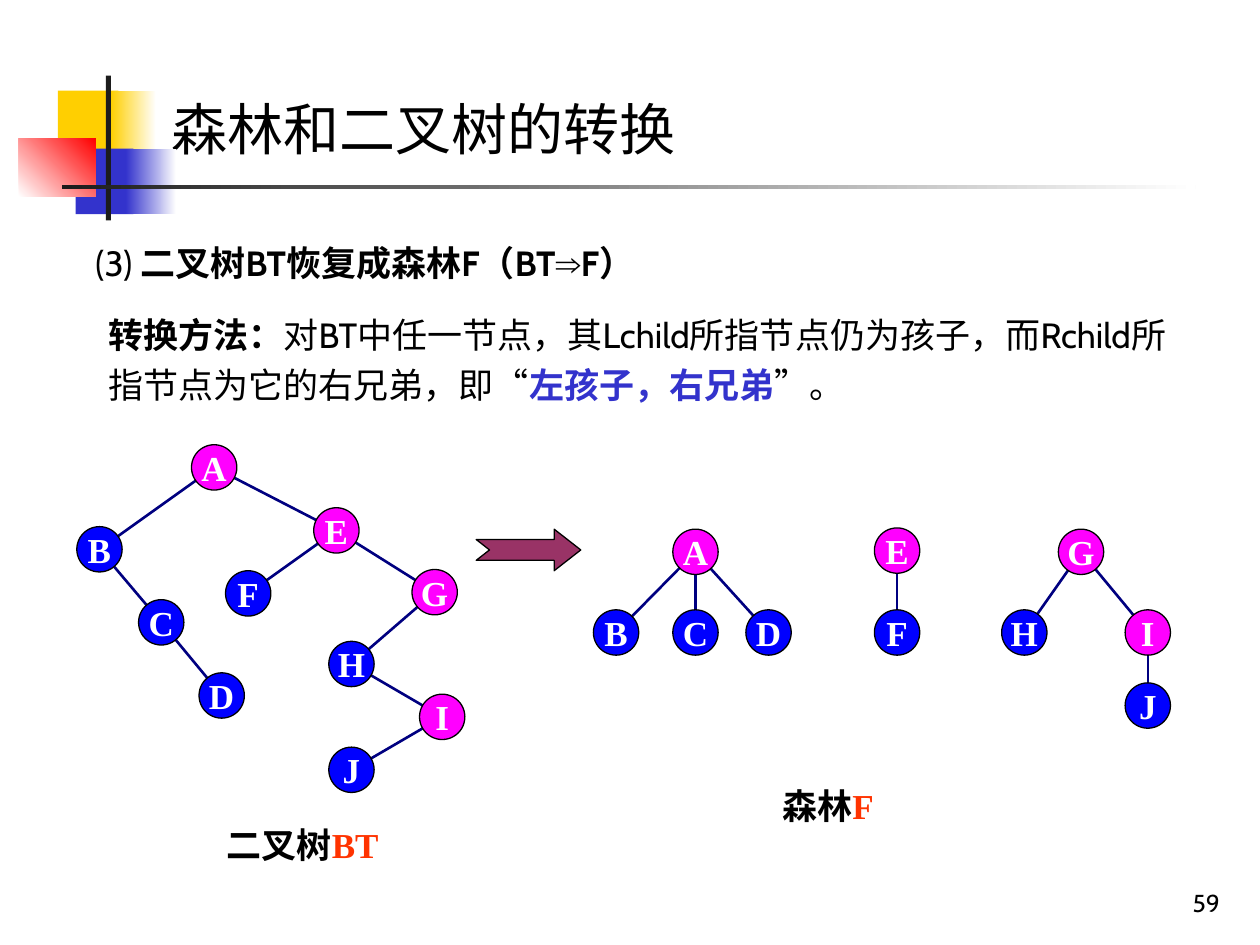
from lxml import etree
from pptx import Presentation
from pptx.dml.color import RGBColor
from pptx.enum.shapes import MSO_CONNECTOR as Conn, MSO_SHAPE as Shape
from pptx.enum.text import MSO_ANCHOR as Anchor, PP_ALIGN as Align
from pptx.oxml.ns import qn
from pptx.util import Inches, Pt

BLACK = RGBColor(0x00, 0x00, 0x00)
WHITE = RGBColor(0xFF, 0xFF, 0xFF)
YELLOW = RGBColor(0xFF, 0xCF, 0x01)
INDIGO = RGBColor(0x33, 0x33, 0xCC)
RED = RGBColor(0xFF, 0x00, 0x00)
CHARCOAL = RGBColor(0x1C, 0x1C, 0x1C)
NAVY = RGBColor(0x00, 0x00, 0x80)
BLUE = RGBColor(0x00, 0x00, 0xFF)
MAGENTA = RGBColor(0xFF, 0x00, 0xFF)
PLUM = RGBColor(0x99, 0x33, 0x66)
ORANGE = RGBColor(0xFF, 0x33, 0x00)

CJK, SANS, SERIF = "Noto Sans CJK JP", "Cabin", "Times New Roman"

FOREST_ROOTS = "AEGI"
BINARY_NODES = dict(A=(1.09, 0.18), B=(0.18, 0.83), C=(0.67, 1.41), D=(1.15, 1.99),
                    E=(2.06, 0.68), F=(1.36, 1.18), G=(2.84, 1.17), H=(2.18, 1.74),
                    I=(2.9, 2.16), J=(2.18, 2.58))
BINARY_EDGES = "AB AE BC CD EF EG GH HI IJ"
# left, top, nodes, edges
FOREST = [
    (4.71, 4.2, dict(A=(0.81, 0.18), B=(0.18, 0.82), C=(0.81, 0.82), D=(1.39, 0.82)),
     "AB AC AD"),
    (6.95, 4.2, dict(E=(0.17, 0.17), F=(0.17, 0.82)), "EF"),
    (7.95, 4.2, dict(G=(0.63, 0.18), H=(0.18, 0.82), I=(1.16, 0.82), J=(1.16, 1.4)),
     "GH GI IJ"),
]


def write(p, text, size=20, font=SANS, color=BLACK, bold=False):
    r = p.add_run()
    r.text = text
    r.font.size, r.font.name, r.font.bold = Pt(size), font, bold
    r.font.color.rgb = color
    etree.SubElement(r.font._element, qn("a:ea")).set("typeface", CJK)


def text_box(shapes, left, top, width, height, anchor=Anchor.TOP):
    """Add a wrapping text box and return its first paragraph."""
    tf = shapes.add_textbox(Inches(left), Inches(top), Inches(width), Inches(height)).text_frame
    tf.word_wrap = True
    tf.vertical_anchor = anchor
    return tf.paragraphs[0]


def add_filled(shapes, kind, left, top, width, height, color, end=None, angle=0):
    """Add an unlined shape, solid or fading from color to end."""
    sp = shapes.add_shape(kind, Inches(left), Inches(top), Inches(width), Inches(height))
    sp.shadow.inherit = False
    sp.line.fill.background()
    if end is None:
        sp.fill.solid()
        sp.fill.fore_color.rgb = color
    else:
        sp.fill.gradient()
        sp.fill.gradient_angle = angle
        for stop, c in zip(sp.fill.gradient_stops, (color, end)):
            stop.color.rgb = c
    return sp


def outline(sp):
    sp.line.color.rgb = BLACK
    sp.line.width = Pt(0.75)


def add_ornament(shapes, left, top):
    for x, y, w, h, color, end, angle in [
        (0.31, 0.12, 0.48, 0.52, YELLOW, None, 0),
        (0.73, 0.12, 0.36, 0.52, YELLOW, WHITE, 0),
        (0.45, 0.58, 0.46, 0.52, INDIGO, None, 0),
        (0.85, 0.58, 0.4, 0.52, INDIGO, WHITE, 0),
        (0, 0.5, 0.61, 0.46, WHITE, RED, 45),
        (0.69, 0, 0.04, 1.15, CHARCOAL, None, 0),
        (0.34, 0.87, 9, 0.03, CHARCOAL, WHITE, 0),
    ]:
        add_filled(shapes, Shape.RECTANGLE, left + x, top + y, w, h, color, end, angle)


def add_title(s, left, top, width, height):
    sp = s.shapes.title
    sp.left, sp.top, sp.width, sp.height = map(Inches, (left, top, width, height))
    tf = sp.text_frame
    tf.vertical_anchor = Anchor.TOP
    p = tf.paragraphs[0]
    p.alignment = Align.LEFT
    write(p, "森林和二叉树的转换", size=32, font=CJK)


def add_explanation(shapes, left, top):
    p = text_box(shapes, left, top, 5.3, 0.44)
    write(p, "(3) ")
    write(p, "二叉树BT恢复成森林F（BT", bold=True)
    write(p, "⇒", font="Arial", bold=True)
    write(p, "F）", bold=True)

    p = text_box(shapes, left + 0.1, top + 0.5, 8.69, 0.9)
    p.line_spacing = Pt(28.8)
    write(p, "转换方法：", bold=True)
    write(p, "对BT中任一节点，其Lchild所指节点仍为孩子，而Rchild所指节点为它的右兄弟，即“")
    write(p, "左孩子，右兄弟", color=INDIGO, bold=True)
    write(p, "”。")


def add_edge(shapes, start, end):
    line = shapes.add_connector(Conn.STRAIGHT, *map(Inches, start + end))
    line.line.color.rgb = NAVY
    line.line.width = Pt(1.5)
    etree.SubElement(line._element.spPr, qn("a:effectLst"))


def add_node(shapes, name, x, y, size=0.36):
    color = MAGENTA if name in FOREST_ROOTS else BLUE
    sp = add_filled(shapes, Shape.OVAL, x - size / 2, y - size / 2, size, size, color)
    outline(sp)
    tf = sp.text_frame
    tf.word_wrap = False
    tf.vertical_anchor = Anchor.MIDDLE
    p = tf.paragraphs[0]
    p.alignment = Align.CENTER
    write(p, name, font=SERIF, color=WHITE, bold=True)


def add_tree(shapes, left, top, nodes, edges):
    """Draw a grouped tree; nodes maps names to centres within the box."""
    group = shapes.add_group_shape().shapes
    centres = {name: (left + x, top + y) for name, (x, y) in nodes.items()}
    for a, b in edges.split():
        add_edge(group, centres[a], centres[b])
    for name, centre in centres.items():
        add_node(group, name, *centre)


def add_arrow(shapes, left, top):
    sp = add_filled(shapes, Shape.NOTCHED_RIGHT_ARROW, left, top, 0.83, 0.33, PLUM)
    sp.adjustments[0], sp.adjustments[1] = 0.5, 0.64
    outline(sp)


def add_caption(shapes, left, top, width, kind, name):
    p = text_box(shapes, left, top, width, 0.44)
    write(p, kind, font=SERIF, bold=True)
    write(p, name, font=SERIF, color=ORANGE, bold=True)


def add_page_number(shapes, left, top, number):
    p = text_box(shapes, left, top, 2.08, 0.5, anchor=Anchor.BOTTOM)
    p.alignment = Align.RIGHT
    write(p, number, size=14)


def main():
    prs = Presentation()
    prs.slide_width, prs.slide_height = Inches(10), Inches(7.5)
    s = prs.slides.add_slide(prs.slide_layouts[5])
    add_ornament(s.shapes, 0.15, 0.6)
    add_title(s, 1.26, 0.7, 8.74, 0.64)
    add_explanation(s.shapes, 0.66, 1.87)
    add_tree(s.shapes, 0.61, 3.53, BINARY_NODES, BINARY_EDGES)
    add_arrow(s.shapes, 3.78, 4.2)
    for tree in FOREST:
        add_tree(s.shapes, *tree)
    add_caption(s.shapes, 1.7, 6.49, 1.5, "二叉树", "BT")
    add_caption(s.shapes, 6.11, 6.18, 1.17, "森林", "F")
    add_page_number(s.shapes, 7.7, 6.83, "59")
    prs.save("out.pptx")


if __name__ == "__main__":
    main()
